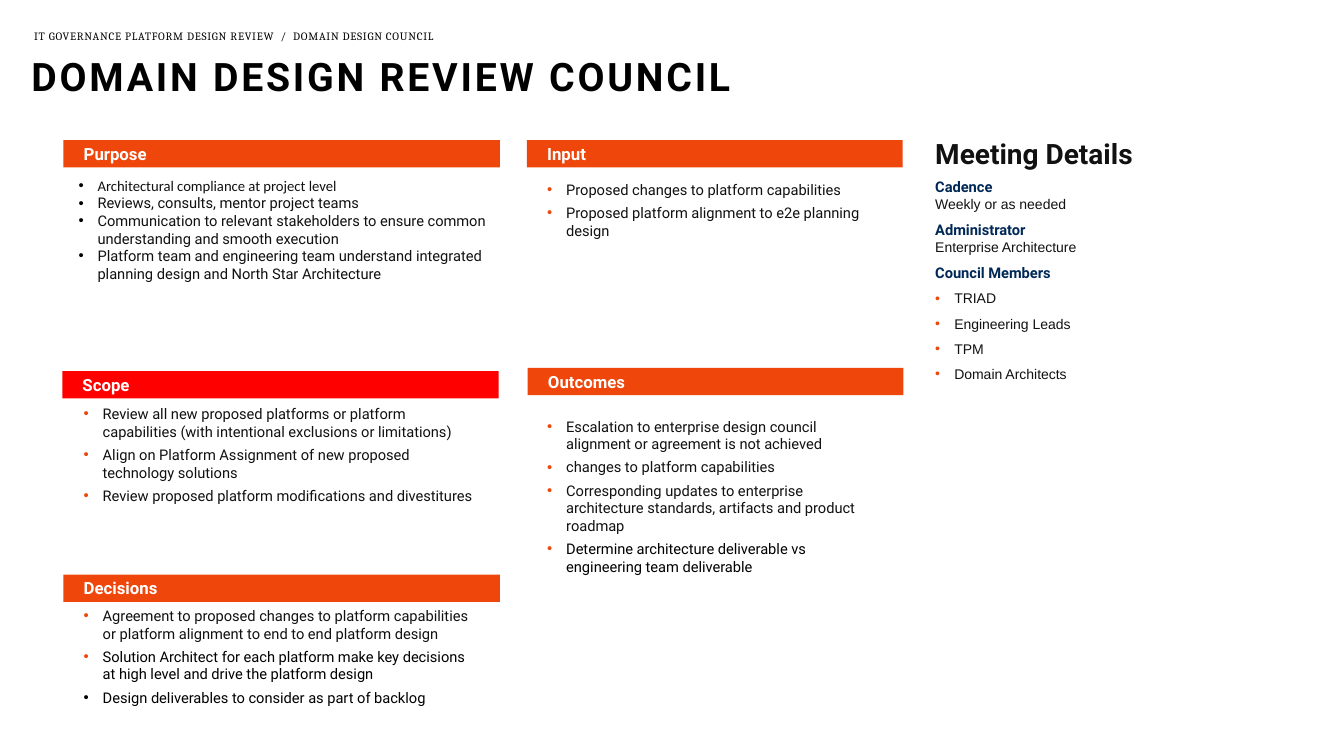
from dataclasses import dataclass

from lxml import etree
from pptx import Presentation
from pptx.dml.color import RGBColor
from pptx.enum.shapes import MSO_SHAPE
from pptx.enum.text import MSO_ANCHOR, MSO_AUTO_SIZE, PP_ALIGN
from pptx.oxml.ns import qn
from pptx.util import Cm, Pt

RECT = MSO_SHAPE.RECTANGLE
TOP, MIDDLE = MSO_ANCHOR.TOP, MSO_ANCHOR.MIDDLE
LEFT = PP_ALIGN.LEFT
NO_FIT = MSO_AUTO_SIZE.NONE


@dataclass(frozen=True)
class Theme:
    """Colours, fonts and type sizes of the slide."""
    orange: str = "EE460B"
    red: str = "FF0000"
    navy: str = "002856"
    ink: str = "111111"
    black: str = "000000"
    white: str = "FFFFFF"
    main: str = "Roboto"
    plain: str = "Arial"
    serif: str = "Cambria"
    alt: str = "Calibri"
    title: float = 28
    heading: float = 20
    band: float = 12
    body: float = 10.5
    detail: float = 10
    crumb: float = 8


T = Theme()
BAND_H = 0.69
INDENT = 0.48
BODY = {"name": T.main, "size": T.body, "color": T.ink}
BLACK = {"color": T.black}
DETAIL = {"name": T.plain, "size": T.detail, "color": T.ink}
LABEL = {"name": T.main, "size": T.body, "color": T.navy, "bold": True}

PURPOSE = [
    ("Architectural compliance at project level", {"name": T.alt}),
    ("Reviews, consults, mentor project teams", {}),
    ("Communication to relevant stakeholders to ensure common understanding and smooth execution", {}),
    ("Platform team and engineering team understand integrated planning design and North Star Architecture", {}),
]
SCOPE = [
    ("Review all new proposed platforms or platform capabilities (with intentional exclusions or limitations)", {}),
    ("Align on Platform Assignment of new proposed technology solutions", {}),
    ("Review proposed platform modifications and divestitures", {}),
]
DECISIONS = [
    ("Agreement to proposed changes to platform capabilities or platform alignment to end to end platform design", {}),
    ("Solution Architect for each platform make key decisions at high level and drive the platform design", BLACK),
    ("Design deliverables to consider as part of backlog", {**BLACK, "bullet": T.black}),
]
INPUT = [
    ("Proposed changes to platform capabilities", {}),
    ("Proposed platform alignment to e2e planning design", {}),
]
OUTCOMES = [
    ("Escalation to enterprise design council  alignment or agreement is not achieved", {}),
    ("changes to platform capabilities", {}),
    ("Corresponding updates to enterprise architecture standards, artifacts and product roadmap", {}),
    ("Determine architecture deliverable vs engineering team deliverable", BLACK),
]
DETAILS = [("Cadence", "Weekly or as needed"),
           ("Administrator", "Enterprise Architecture"),
           ("Council Members", None)]
MEMBERS = ["TRIAD", "Engineering Leads", "TPM", "Domain Architects"]

SECTIONS = [
    ("Purpose", (1.6, 3.53, 11), T.orange, (1.47, 3.94, 11.35, 4.72), PURPOSE, T.black, 0),
    ("Scope", (1.57, 9.35, 11), T.red, (1.6, 9.7, 11, 4.24), SCOPE, T.orange, 4),
    ("Decisions", (1.6, 14.48, 11), T.orange, (1.6, 14.78, 11, 3.35), DECISIONS, T.orange, 4),
    ("Input", (13.28, 3.53, 9.47), T.orange, (13.28, 4.04, 9.47, 5.46), INPUT, T.orange, 4),
    ("Outcomes", (13.3, 9.27, 9.47), T.orange, (13.28, 10.01, 9.47, 7.11), OUTCOMES, T.orange, 4),
]


def set_frame(tf, insets, anchor=TOP):
    """Set wrapping, anchor and insets (left, top, right, bottom in cm)."""
    left, top, right, bottom = map(Cm, insets)
    values = {"word_wrap": True, "auto_size": NO_FIT, "vertical_anchor": anchor,
              "margin_left": left, "margin_top": top,
              "margin_right": right, "margin_bottom": bottom}
    for name, value in values.items():
        setattr(tf, name, value)
    return tf


def add_text_box(s, box, insets, anchor=TOP):
    """Add a text box in a cm box and return its text frame."""
    return set_frame(s.shapes.add_textbox(*map(Cm, box)).text_frame, insets, anchor)


def next_paragraph(tf, **formats):
    """Return the empty first paragraph or a new one, formatted."""
    p = tf.paragraphs[0]
    if len(p.runs):
        p = tf.add_paragraph()
    for name, value in {"alignment": LEFT, **formats}.items():
        setattr(p, name, value)
    return p


def add_run(p, text, name, size, color, bold=False, spacing=0):
    """Add a formatted run with letter spacing in points."""
    r = p.add_run()
    r.text = text
    for key, value in {"name": name, "size": Pt(size), "bold": bold}.items():
        setattr(r.font, key, value)
    r.font.color.rgb = RGBColor.from_string(color)
    if spacing:
        r.font._element.set("spc", str(int(spacing * 100)))


def add_bullet(p, color):
    """Give a paragraph a hanging bullet of the given colour."""
    pPr = p._p.get_or_add_pPr()
    pPr.set("marL", str(Cm(INDENT)))
    pPr.set("indent", str(-Cm(INDENT)))
    clr = etree.SubElement(pPr, qn("a:buClr"))
    etree.SubElement(clr, qn("a:srgbClr"), val=color)
    etree.SubElement(pPr, qn("a:buFont"), typeface=T.plain)
    etree.SubElement(pPr, qn("a:buChar"), char="•")


def add_header(s, x, y, w):
    """Place the breadcrumb line and the slide title below it."""
    tf = add_text_box(s, (x, y, w / 2, 0.58), (0.38, 0.13, 0, 0.13), MIDDLE)
    p = next_paragraph(tf, line_spacing=0.9)
    add_run(p, "IT GOVERNANCE PLATFORM DESIGN REVIEW  /  DOMAIN DESIGN COUNCIL",
            T.serif, T.crumb, T.black, spacing=0.5)
    title = s.shapes.title
    box = {"left": x, "top": y + 0.68, "width": w, "height": 1.22}
    for name, value in box.items():
        setattr(title, name, Cm(value))
    tf = set_frame(title.text_frame, (0.31, 0.13, 0, 0.13))
    p = next_paragraph(tf, line_spacing=0.9, space_before=Pt(0))
    add_run(p, "DOMAIN DESIGN REVIEW COUNCIL", T.main, T.title, T.black, True, 2)


def add_section(s, heading, band, fill, box, items, bullet, gap):
    """Place a coloured heading band and its bulleted list."""
    tf = add_text_box(s, box, (0.51, 0.51, 0.51, 0.13))
    for text, changes in items:
        style = {**BODY, "bullet": bullet, **changes}
        color = style.pop("bullet")
        p = next_paragraph(tf, space_after=Pt(gap))
        add_bullet(p, color)
        add_run(p, text, **style)
    sp = s.shapes.add_shape(RECT, *map(Cm, (*band, BAND_H)))
    sp.shadow.inherit = False
    sp.fill.solid()
    sp.fill.fore_color.rgb = RGBColor.from_string(fill)
    sp.line.fill.background()
    tf = set_frame(sp.text_frame, (0.51, 0.13, 0.51, 0.13), MIDDLE)
    add_run(next_paragraph(tf), heading, T.main, T.band, T.white, True)


def add_meeting_details(s, box):
    """Place the meeting details column."""
    tf = add_text_box(s, box, (0.25, 0.13, 0.25, 0.13))
    gap = {"space_after": Pt(6)}
    add_run(next_paragraph(tf, **gap), "Meeting Details", T.main, T.heading, T.ink, True)
    for label, value in DETAILS:
        p = next_paragraph(tf, **gap)
        add_run(p, label, **LABEL)
        if value:
            p.add_line_break()
            add_run(p, value, **DETAIL)
    for member in MEMBERS:
        p = next_paragraph(tf, **gap)
        add_bullet(p, T.orange)
        add_run(p, member, **DETAIL)


def main():
    """Build the council slide and save it."""
    prs = Presentation()
    prs.slide_width, prs.slide_height = Cm(33.87), Cm(19.05)
    s = prs.slides.add_slide(prs.slide_layouts[5])
    add_header(s, 0.48, 0.64, 32.74)
    for section in SECTIONS:
        add_section(s, *section)
    add_meeting_details(s, (23.32, 3.3, 9.22, 12.29))
    prs.save("out.pptx")


if __name__ == "__main__":
    main()
